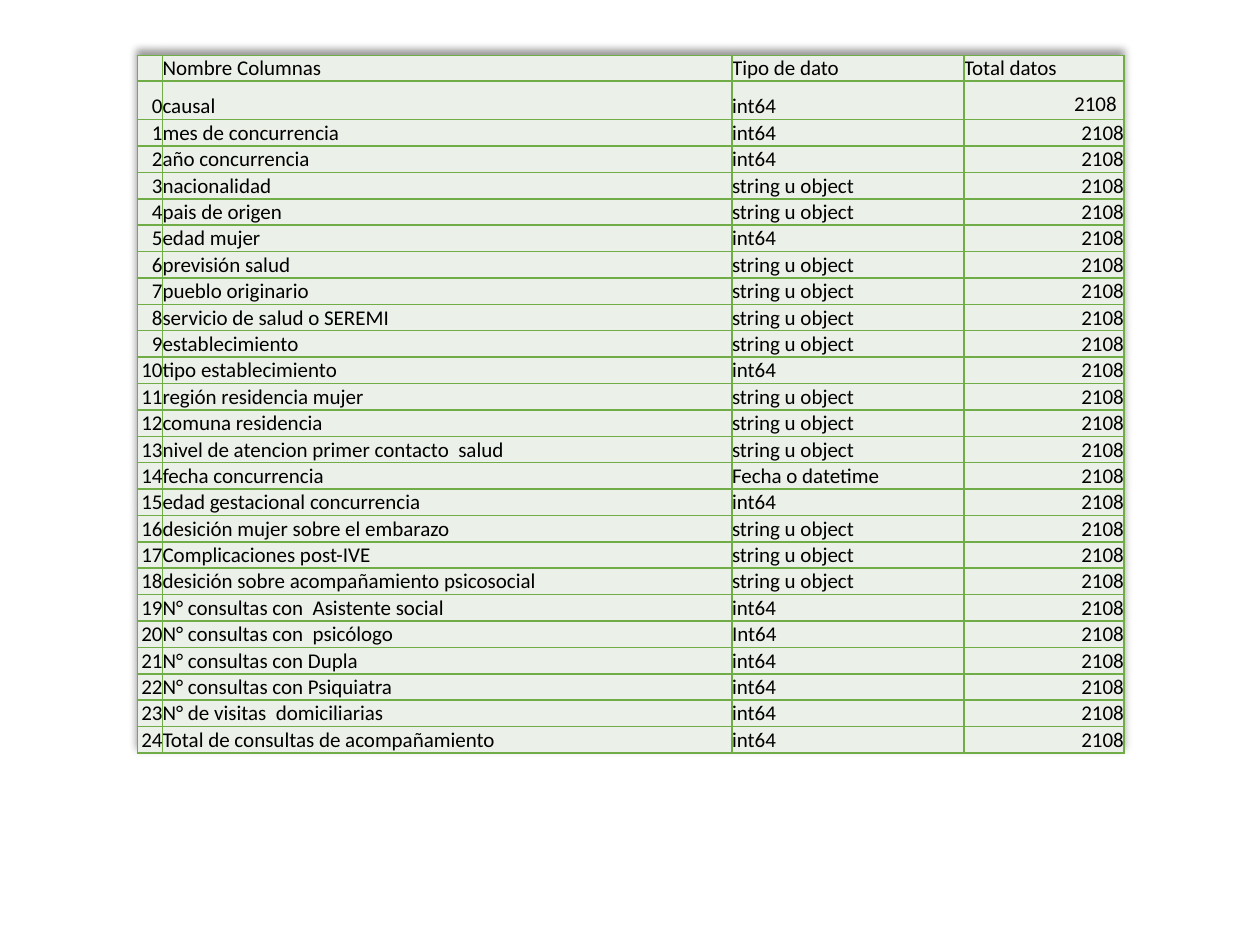
from lxml.etree import SubElement
from pptx import Presentation
from pptx.dml.color import RGBColor
from pptx.enum.text import MSO_ANCHOR, PP_ALIGN
from pptx.oxml.ns import qn
from pptx.util import Inches, Pt

COLORS = {"fill": "EBF1E9", "border": "70AD47", "text": "000000", "shadow": "000000"}
FONT = {"name": "Calibri", "size": Pt(12), "bold": False}
CELL_FORMAT = {
    "margin_left": 0, "margin_right": 0, "margin_top": 0, "margin_bottom": 0,
    "vertical_anchor": MSO_ANCHOR.BOTTOM,
}
COLUMN_WIDTHS = [0.2, 4.52, 1.84, 1.27]
TABLE_HEIGHT = 5.53
HEADER_HEIGHT = 0.2
FIRST_ROW_HEIGHT = 0.3
NUMERIC_COLUMNS = (0, 3)
TOTAL = "2108"

HEADERS = ["", "Nombre Columnas", "Tipo de dato", "Total datos"]
FIELDS = [
    ("causal", "int64"),
    ("mes de concurrencia", "int64"),
    ("año concurrencia", "int64"),
    ("nacionalidad", "string u object"),
    ("pais de origen", "string u object"),
    ("edad mujer", "int64"),
    ("previsión salud", "string u object"),
    ("pueblo originario", "string u object"),
    ("servicio de salud o SEREMI", "string u object"),
    ("establecimiento", "string u object"),
    ("tipo establecimiento", "int64"),
    ("región residencia mujer", "string u object"),
    ("comuna residencia", "string u object"),
    ("nivel de atencion primer contacto  salud", "string u object"),
    ("fecha concurrencia", "Fecha o datetime"),
    ("edad gestacional concurrencia", "int64"),
    ("desición mujer sobre el embarazo", "string u object"),
    ("Complicaciones post-IVE", "string u object"),
    ("desición sobre acompañamiento psicosocial", "string u object"),
    ("N° consultas con  Asistente social", "int64"),
    ("N° consultas con  psicólogo", "Int64"),
    ("N° consultas con Dupla", "int64"),
    ("N° consultas con Psiquiatra", "int64"),
    ("N° de visitas  domiciliarias", "int64"),
    ("Total de consultas de acompañamiento", "int64"),
]


def set_borders(cell):
    properties = cell._tc.get_or_add_tcPr()
    for side in ("lnL", "lnR", "lnT", "lnB"):
        line = SubElement(properties, qn(f"a:{side}"), w=str(Pt(1)))
        fill = SubElement(line, qn("a:solidFill"))
        SubElement(fill, qn("a:srgbClr"), val=COLORS["border"])


def add_run(paragraph, text, **changes):
    run = paragraph.add_run()
    run.text = text
    for name, value in {**FONT, **changes}.items():
        setattr(run.font, name, value)
    run.font.color.rgb = RGBColor.from_string(COLORS["text"])


def format_cell(cell, text, alignment):
    for name, value in CELL_FORMAT.items():
        setattr(cell, name, value)
    set_borders(cell)
    cell.fill.solid()
    cell.fill.fore_color.rgb = RGBColor.from_string(COLORS["fill"])
    paragraph = cell.text_frame.paragraphs[0]
    paragraph.alignment = alignment
    if text:
        add_run(paragraph, text)
    else:
        SubElement(paragraph._p, qn("a:endParaRPr"), sz="1200")


def add_shadow(table):
    """Give the table a soft shadow that falls upwards."""
    effects = SubElement(table._tbl.tblPr, qn("a:effectLst"))
    shadow = SubElement(effects, qn("a:outerShdw"), blurRad=str(Pt(4)),
                        dist=str(Pt(3)), dir="16200000", rotWithShape="0")
    color = SubElement(shadow, qn("a:srgbClr"), val=COLORS["shadow"])
    SubElement(color, qn("a:alpha"), val="40000")


def clear_table_style(table):
    for name in ("first_row", "horz_banding"):
        setattr(table, name, False)
    for style in table._tbl.tblPr.findall(qn("a:tableStyleId")):
        style.text = "{2D5ABB26-0587-4C30-8999-92F81FD0307C}"


def add_field_table(slide):
    rows = [HEADERS] + [
        [str(index), name, kind, TOTAL] for index, (name, kind) in enumerate(FIELDS)
    ]
    table = slide.shapes.add_table(
        len(rows), len(HEADERS), Inches(1.09), Inches(0.44),
        Inches(sum(COLUMN_WIDTHS)), Inches(TABLE_HEIGHT),
    ).table
    clear_table_style(table)
    add_shadow(table)
    for column, width in zip(table.columns, COLUMN_WIDTHS):
        column.width = Inches(width)

    other_height = (TABLE_HEIGHT - HEADER_HEIGHT - FIRST_ROW_HEIGHT) / (len(rows) - 2)
    heights = [HEADER_HEIGHT, FIRST_ROW_HEIGHT] + [other_height] * (len(rows) - 2)
    for row_index, (values, height) in enumerate(zip(rows, heights)):
        table.rows[row_index].height = Inches(height)
        for column_index, text in enumerate(values):
            is_number = row_index > 0 and column_index in NUMERIC_COLUMNS
            alignment = PP_ALIGN.RIGHT if is_number else PP_ALIGN.LEFT
            format_cell(table.cell(row_index, column_index), text, alignment)
    add_run(table.cell(1, 3).text_frame.paragraphs[0], " ", size=Pt(18))


def main():
    presentation = Presentation()
    presentation.slide_width = Inches(10)
    presentation.slide_height = Inches(7.5)
    slide = presentation.slides.add_slide(presentation.slide_layouts[6])
    add_field_table(slide)
    presentation.save("out.pptx")


if __name__ == "__main__":
    main()
